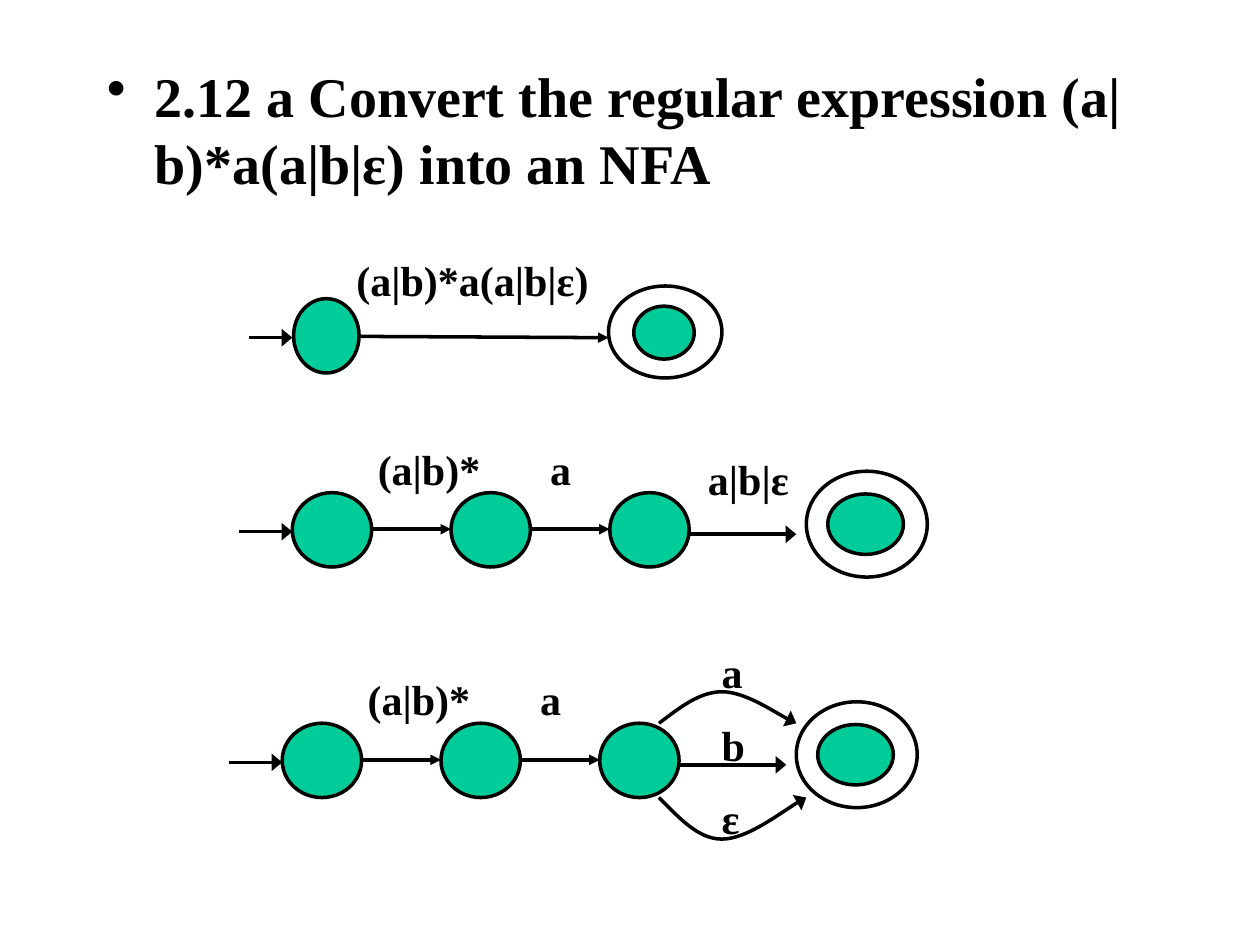
from lxml import etree
from pptx import Presentation
from pptx.dml.color import RGBColor
from pptx.enum.shapes import MSO_CONNECTOR, MSO_SHAPE
from pptx.enum.text import MSO_AUTO_SIZE, PP_ALIGN
from pptx.oxml.ns import qn
from pptx.util import Inches, Pt

BLACK = RGBColor(0x00, 0x00, 0x00)
GREEN = RGBColor(0x00, 0xCC, 0x99)
FONT = "Times New Roman"


class Diagram:
    """Draws automaton parts on one slide in one style."""

    def __init__(self, slide):
        self.slide = slide
        self.shapes = slide.shapes

    def start_group(self):
        self.shapes = self.slide.shapes.add_group_shape().shapes

    def text(self, text, x, y, w, h, size=24, align=PP_ALIGN.LEFT, wrap=True):
        tf = self.shapes.add_textbox(Inches(x), Inches(y), Inches(w), Inches(h)).text_frame
        tf.word_wrap = wrap
        if not wrap:
            tf.auto_size = MSO_AUTO_SIZE.SHAPE_TO_FIT_TEXT
        p = tf.paragraphs[0]
        p.text = text
        p.alignment = align
        font = p.runs[0].font
        font.name, font.size, font.bold = FONT, Pt(size), True
        font.color.rgb = BLACK
        return p

    def bullet(self, text, x, y, w, h):
        p = self.text(text, x, y, w, h, size=32)
        p.space_before = Pt(8)
        pPr = p._p.get_or_add_pPr()
        pPr.set("marL", str(Inches(0.38)))
        pPr.set("indent", str(-Inches(0.38)))
        etree.SubElement(pPr, qn("a:buChar"), char="•")

    def ellipse(self, x, y, w, h, fill=GREEN):
        sp = self.shapes.add_shape(MSO_SHAPE.OVAL, Inches(x), Inches(y), Inches(w), Inches(h))
        sp.shadow.inherit = False
        if fill is None:
            sp.fill.background()
        else:
            sp.fill.solid()
            sp.fill.fore_color.rgb = fill
        self.stroke(sp)

    def stroke(self, sp):
        sp.line.color.rgb = BLACK
        sp.line.width = Pt(2)

    def arrowhead(self, sp, width):
        ln = sp.line._get_or_add_ln()
        etree.SubElement(ln, qn("a:tailEnd"), type="triangle", w=width, len="med")

    def arrow(self, x1, y1, x2, y2, head="med"):
        cxn = self.shapes.add_connector(
            MSO_CONNECTOR.STRAIGHT, Inches(x1), Inches(y1), Inches(x2), Inches(y2))
        self.stroke(cxn)
        self.arrowhead(cxn, head)
        etree.SubElement(cxn._element.spPr, qn("a:effectLst"))

    def curve(self, points):
        pts = [(Inches(x), Inches(y)) for x, y in points]
        builder = self.shapes.build_freeform(*pts[0])
        builder.add_line_segments(pts[1:], close=False)
        sp = builder.convert_to_shape()
        sp.shadow.inherit = False
        sp.fill.background()
        self.stroke(sp)
        self.arrowhead(sp, "lg")
        # Every three line points become one cubic segment
        path = next(sp._element.iter(qn("a:path")))
        lines = path.findall(qn("a:lnTo"))
        for i in range(0, len(lines), 3):
            cubic = etree.SubElement(path, qn("a:cubicBezTo"))
            for line in lines[i:i + 3]:
                cubic.append(line[0])
                path.remove(line)

    def chain(self, x, y):
        """Three states, their arrows and labels, and the accepting state."""
        self.start_group()
        step, w, h = 1.26, 0.63, 0.59
        for i in range(3):
            self.ellipse(x + i * step, y, w, h)
        for i in range(2):
            left = x + i * step + w
            self.arrow(left, y + 0.29, left + w, y + 0.29)
        self.text("(a|b)*", x + 0.58, y - 0.44, 1.1, 0.44)
        self.text("a", x + 1.5, y - 0.44, 1.26, 0.44, align=PP_ALIGN.CENTER)
        self.ellipse(x + 4.08, y - 0.17, 0.96, 0.84, fill=None)
        self.ellipse(x + 4.25, y + 0.01, 0.6, 0.48)
        self.arrow(x - 0.42, y + 0.31, x, y + 0.31, "lg")
        self.arrow(x + 3.16, y + 0.33, x + 4, y + 0.33, "lg")


def main():
    prs = Presentation()
    prs.slide_width, prs.slide_height = Inches(10), Inches(7.5)
    d = Diagram(prs.slides.add_slide(prs.slide_layouts[6]))

    # Task
    d.bullet("2.12 a Convert the regular expression (a|b)*a(a|b|ε) into an NFA",
             0.75, 0.44, 8.5, 6.22)

    # Step 1: whole expression on one edge
    d.start_group()
    d.ellipse(2.33, 2.37, 0.52, 0.59)
    d.text("(a|b)*a(a|b|ε)", 2.73, 1.97, 2.33, 0.44)
    d.arrow(2.85, 2.67, 4.83, 2.68)
    d.ellipse(4.83, 2.27, 0.9, 0.73, fill=None)
    d.ellipse(5.03, 2.43, 0.48, 0.42)
    d.arrow(1.98, 2.68, 2.32, 2.68, "lg")

    # Step 2: concatenation split
    d.chain(2.32, 3.91)
    d.text("a|b|ε", 5.31, 3.55, 1.26, 0.44, align=PP_ALIGN.CENTER)

    # Step 3: alternatives split
    d.chain(2.24, 5.74)
    d.curve([(5.23, 5.74), (5.39, 5.62), (5.55, 5.49), (5.73, 5.49),
             (5.91, 5.49), (6.22, 5.7), (6.32, 5.74)])
    d.curve([(5.23, 6.33), (5.39, 6.49), (5.54, 6.66), (5.73, 6.66),
             (5.93, 6.66), (6.29, 6.38), (6.4, 6.33)])
    for i, symbol in enumerate("abε"):
        d.text(symbol, 5.63, 5.08 + i * 0.58, 0.36, 0.5, wrap=False)

    prs.save("out.pptx")


if __name__ == "__main__":
    main()
